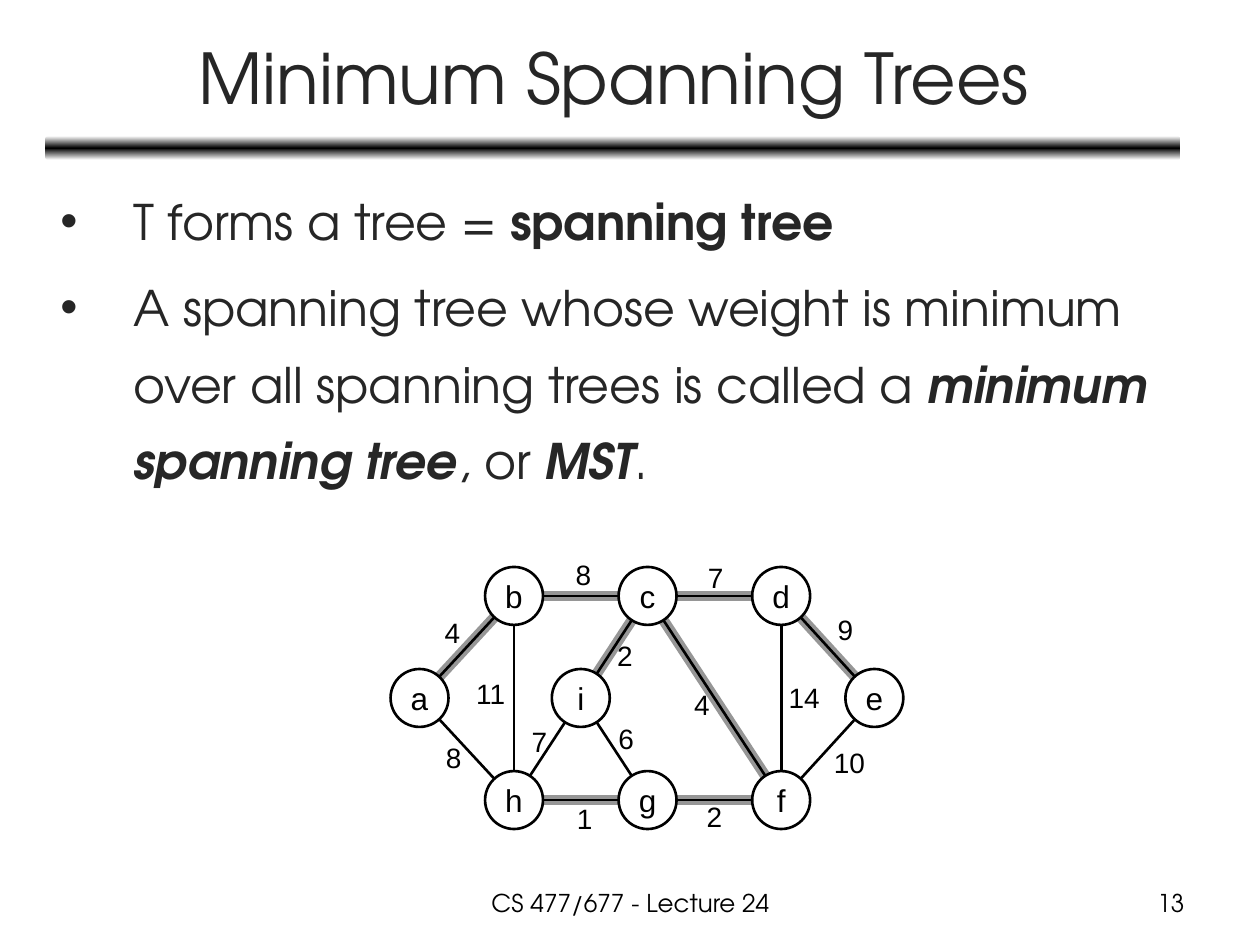
"""Build the slide on minimum spanning trees with its weighted graph."""
import math
from lxml import etree
from pptx import Presentation
from pptx import util as u
from pptx.dml.color import RGBColor
from pptx.enum import shapes, text
from pptx.oxml import ns

HUES = {"ink": "262626", "black": "000000", "white": "FFFFFF", "mark": "969696"}
HEAD, SANS = "TeX Gyre Adventor", "Arial"
TITLE = "Minimum Spanning Trees"
BODY = [
    [("T forms a tree = ", ""), ("spanning tree", "b")],
    [("A spanning tree whose weight is minimum over all spanning trees is called a ", ""),
     ("minimum spanning tree", "bi"), (", or ", ""), ("MST", "bi"), (".", "")],
]
FOOT = [("CS 477/677 - Lecture 24", 3.42, 3.17, "CENTER"), ("13", 7.17, 2.33, "RIGHT")]
SIZE = 0.46
NODES = {
    "a": (3.33, 5.54), "b": (4.08, 4.73), "c": (5.14, 4.73),
    "d": (6.2, 4.73), "e": (6.94, 5.54), "h": (4.08, 6.35),
    "g": (5.14, 6.35), "f": (6.2, 6.35), "i": (4.61, 5.54),
}
EDGES = [
    ("ab", 4, 3.43, 4.84), ("bc", 8, 4.47, 4.38), ("cd", 7, 5.52, 4.4),
    ("ah", 8, 3.44, 5.83), ("bh", 11, 3.68, 5.32), ("hg", 1, 4.48, 6.31),
    ("gf", 2, 5.51, 6.3), ("hi", 7, 4.12, 5.7), ("ci", 2, 4.8, 5.02),
    ("cf", 4, 5.41, 5.41), ("df", 14, 6.16, 5.35), ("de", 9, 6.55, 4.81),
    ("ef", 10, 6.52, 5.87), ("ig", 6, 4.81, 5.68),
]
TREE = {"ab", "bc", "cd", "hg", "gf", "ci", "cf", "de"}


def tint(name):
    return RGBColor.from_string(HUES[name])


def inches(*vals):
    return [u.Inches(v) for v in vals]


def write(para, words, size, face, hue="black", style=""):
    run = para.add_run()
    run.text = words
    font = run.font
    font.size, font.name = u.Pt(size), face
    font.bold, font.italic = "b" in style, "i" in style
    font.color.rgb = tint(hue)


def add_box(slide, *place, wrap=True):
    frame = slide.shapes.add_textbox(*inches(*place)).text_frame
    frame.word_wrap = wrap
    return frame


def add_bar(slide):
    bar = slide.shapes.add_shape(
        shapes.MSO_SHAPE.ROUNDED_RECTANGLE, *inches(0.36, 1.08, 9.01, 0.19))
    bar.shadow.inherit = False
    bar.line.fill.background()
    bar.fill.gradient()
    bar.fill.gradient_angle = 90
    stops = bar.element.spPr.find(".//" + ns.qn("a:gsLst"))
    for stop in list(stops):
        stops.remove(stop)
    for pos, name in ((0, "white"), (50, "black"), (100, "white")):
        stop = etree.SubElement(stops, ns.qn("a:gs"), pos=str(pos * 1000))
        etree.SubElement(stop, ns.qn("a:srgbClr"), val=HUES[name])


def add_title(slide):
    title = slide.shapes.title
    title.left, title.top, title.width, title.height = inches(0.37, 0.11, 9, 0.99)
    frame = title.text_frame
    frame.auto_size = text.MSO_AUTO_SIZE.NONE
    frame.vertical_anchor = text.MSO_ANCHOR.MIDDLE
    para = frame.paragraphs[0]
    para.alignment = text.PP_ALIGN.CENTER
    write(para, TITLE, 40, HEAD, "ink")


def add_body(slide):
    frame = add_box(slide, 0.38, 1.33, 8.95, 2.71)
    for num, runs in enumerate(BODY):
        para = frame.add_paragraph() if num else frame.paragraphs[0]
        props = para._p.get_or_add_pPr()
        props.set("marL", str(u.Inches(0.58)))
        props.set("indent", str(u.Inches(-0.58)))
        etree.SubElement(props, ns.qn("a:buFont"), typeface=SANS)
        etree.SubElement(props, ns.qn("a:buChar"), char="•")
        para.line_spacing = 1.3
        para.space_before = u.Pt(5.6 if num else 0)
        for words, style in runs:
            write(para, words, 28, HEAD, "ink", style)


def add_edge(slide, pair, hue, width):
    (x1, y1), (x2, y2) = (NODES[name] for name in pair)
    part = SIZE / 2 / math.hypot(x2 - x1, y2 - y1)
    dx, dy = (x2 - x1) * part, (y2 - y1) * part
    line = slide.shapes.add_connector(
        shapes.MSO_CONNECTOR.STRAIGHT, *inches(x1 + dx, y1 + dy, x2 - dx, y2 - dy))
    line.line.color.rgb = tint(hue)
    line.line.width = u.Pt(width)
    etree.SubElement(line.element.spPr, ns.qn("a:effectLst"))


def add_node(slide, name):
    x, y = NODES[name]
    node = slide.shapes.add_shape(
        shapes.MSO_SHAPE.OVAL, *inches(x - SIZE / 2, y - SIZE / 2, SIZE, SIZE))
    node.shadow.inherit = False
    node.fill.background()
    node.line.color.rgb = tint("black")
    node.line.width = u.Pt(1.5)
    frame = node.text_frame
    frame.word_wrap = False
    frame.vertical_anchor = text.MSO_ANCHOR.MIDDLE
    para = frame.paragraphs[0]
    para.alignment = text.PP_ALIGN.CENTER
    write(para, name, 18, SANS)


def add_graph(slide):
    for pair, *_ in EDGES:
        if pair in TREE:
            add_edge(slide, pair, "mark", 6)
    for name in NODES:
        add_node(slide, name)
    for pair, *_ in EDGES:
        add_edge(slide, pair, "black", 1.5)
    for _, cost, x, y in EDGES:
        wide = 0.45 if cost > 9 else 0.32
        frame = add_box(slide, x, y, wide, 0.37, wrap=False)
        write(frame.paragraphs[0], str(cost), 16, SANS)


def main():
    deck = Presentation()
    deck.slide_width, deck.slide_height = inches(10, 7.5)
    slide = deck.slides.add_slide(deck.slide_layouts[5])
    add_bar(slide)
    add_title(slide)
    add_body(slide)
    add_graph(slide)
    for words, x, wide, side in FOOT:
        para = add_box(slide, x, 7, wide, 0.35).paragraphs[0]
        para.alignment = text.PP_ALIGN[side]
        write(para, words, 14, HEAD)
    deck.save("out.pptx")


if __name__ == "__main__":
    main()
